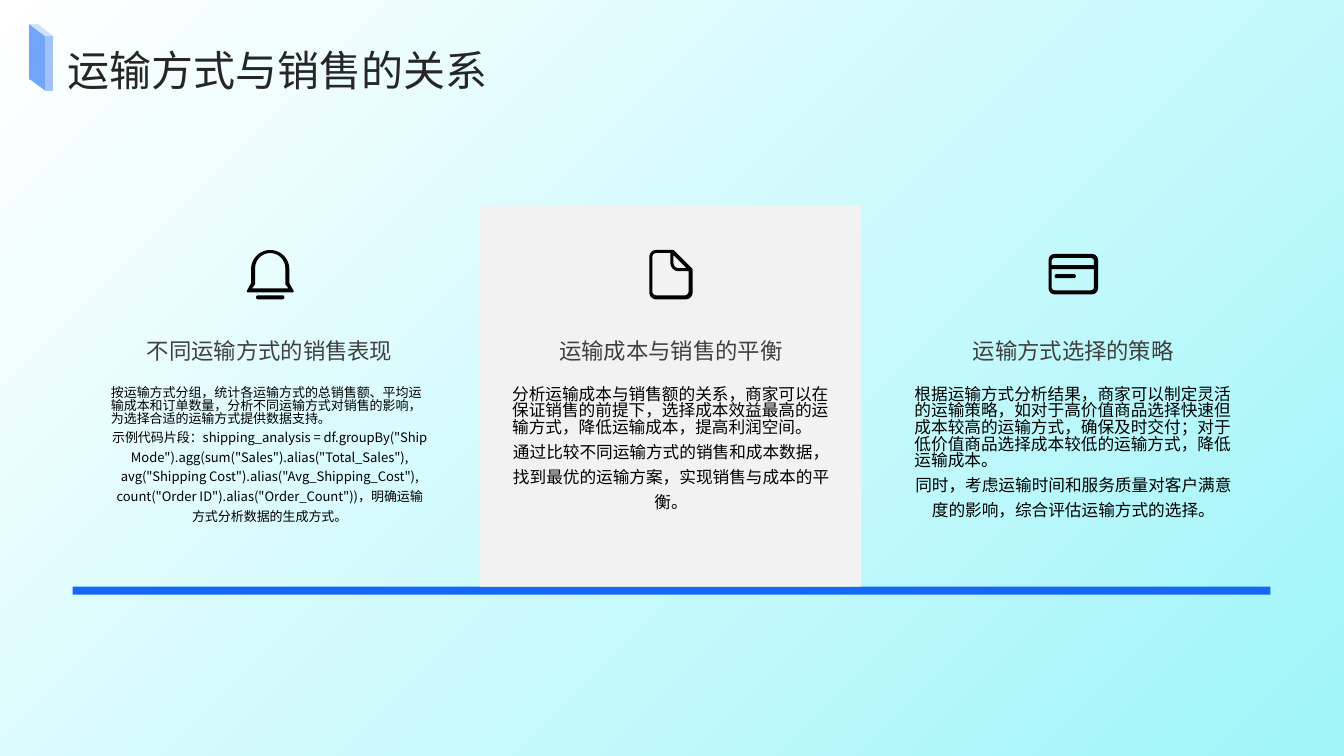
from math import hypot

from pptx import Presentation
from pptx.dml.color import RGBColor
from pptx.enum import shapes, text
from pptx.oxml.ns import qn
from pptx.util import Inches, Pt

FONT = "Noto Sans CJK SC"
TITLE = "运输方式与销售的关系"

# Heading, body size, body paragraphs, left edge
COLUMNS = [
    ("不同运输方式的销售表现", 9.3, [
        "按运输方式分组，统计各运输方式的总销售额、平均运输成本和订单数量，"
        "分析不同运输方式对销售的影响，为选择合适的运输方式提供数据支持。",
        '示例代码片段：shipping_analysis = df.groupBy("Ship Mode")'
        '.agg(sum("Sales").alias("Total_Sales"), '
        'avg("Shipping Cost").alias("Avg_Shipping_Cost"), '
        'count("Order ID").alias("Order_Count"))，明确运输方式分析数据的生成方式。',
    ], 1.1),
    ("运输成本与销售的平衡", 11.9, [
        "分析运输成本与销售额的关系，商家可以在保证销售的前提下，"
        "选择成本效益最高的运输方式，降低运输成本，提高利润空间。",
        "通过比较不同运输方式的销售和成本数据，找到最优的运输方案，"
        "实现销售与成本的平衡。",
    ], 5.08),
    ("运输方式选择的策略", 11.9, [
        "根据运输方式分析结果，商家可以制定灵活的运输策略，"
        "如对于高价值商品选择快速但成本较高的运输方式，确保及时交付；"
        "对于低价值商品选择成本较低的运输方式，降低运输成本。",
        "同时，考虑运输时间和服务质量对客户满意度的影响，综合评估运输方式的选择。",
    ], 9.07),
]


def block(left, top, right, bottom, upper=0, lower=0):
    """Contour of a rectangle with its upper and lower corner radii."""
    return [(left, top, upper), (right, top, upper),
            (right, bottom, lower), (left, bottom, lower)]


# Contours are lists of corners: x, y, corner radius
BELL = [
    [(2.49, 2.48, 0.19), (2.87, 2.48, 0.19), (2.87, 2.81, 0),
     (2.92, 2.9, 0.02), (2.44, 2.9, 0.02), (2.49, 2.81, 0)],
    [(2.53, 2.51, 0.15), (2.83, 2.51, 0.15), (2.83, 2.82, 0),
     (2.86, 2.86, 0), (2.5, 2.86, 0), (2.53, 2.82, 0)],
    block(2.54, 2.93, 2.82, 2.97, 0.02, 0.02),
]
DOCUMENT = [
    [(6.44, 2.48, 0.07), (6.68, 2.48, 0.01), (6.87, 2.67, 0.01),
     (6.87, 2.97, 0.07), (6.44, 2.97, 0.07)],
    [(6.47, 2.51, 0.04), (6.65, 2.51, 0), (6.65, 2.69, 0.08),
     (6.83, 2.69, 0), (6.83, 2.93, 0.04), (6.47, 2.93, 0.04)],
    [(6.68, 2.53, 0), (6.81, 2.66, 0), (6.68, 2.66, 0.05)],
]
CARD = [
    block(10.4, 2.52, 10.89, 2.92, 0.06, 0.06),
    block(10.43, 2.56, 10.85, 2.63, upper=0.03),
    block(10.43, 2.67, 10.85, 2.88, lower=0.03),
    block(10.46, 2.72, 10.67, 2.76, 0.02, 0.02),
]


def slant(top):
    """Contour of a horizontal face of the title marker."""
    return [(0.29, top, 0), (0.38, top, 0),
            (0.53, top + 0.12, 0), (0.45, top + 0.12, 0)]


FRONT = [(0.29, 0.24, 0), (0.3, 0.24, 0), (0.45, 0.36, 0),
         (0.45, 0.9, 0), (0.3, 0.79, 0), (0.29, 0.79, 0)]
OUTLINES = [
    (BELL, "000000"), (DOCUMENT, "000000"), (CARD, "000000"),
    ([slant(0.46)], "1467F7"), ([FRONT], "72A4FA"), ([slant(0.24)], "D0E1FD"),
    ([block(0.45, 0.36, 0.53, 0.9)], "A1C2FC"),
]


def color(code):
    return RGBColor.from_string(code)


def finish(shape, code):
    shape.shadow.inherit = False
    shape.line.fill.background()
    shape.fill.solid()
    shape.fill.fore_color.rgb = color(code)


def add_rect(page, left, top, width, height, code):
    rect = page.shapes.add_shape(
        shapes.MSO_SHAPE.RECTANGLE, *map(Inches, (left, top, width, height)))
    finish(rect, code)
    return rect


def toward(corner, other, distance):
    (x, y), (dx, dy) = corner[:2], (other[0] - corner[0], other[1] - corner[1])
    share = distance / hypot(dx, dy)
    return x + dx * share, y + dy * share


def rounded(contour, steps=8):
    """Points along a contour, with each corner replaced by a cubic arc."""
    points = []
    for i, corner in enumerate(contour):
        before, after = contour[i - 1], contour[(i + 1) % len(contour)]
        radius = corner[2]
        if not radius:
            points.append(corner[:2])
            continue
        arc = [toward(corner, before, radius), toward(corner, before, radius * 0.45),
               toward(corner, after, radius * 0.45), toward(corner, after, radius)]
        for step in range(steps + 1):
            t = step / steps
            weights = ((1 - t) ** 3, 3 * t * (1 - t) ** 2, 3 * t * t * (1 - t), t ** 3)
            points.append(tuple(
                sum(w * point[axis] for w, point in zip(weights, arc))
                for axis in (0, 1)))
    return [(Inches(x), Inches(y)) for x, y in points]


def add_outline(page, contours, code):
    paths = [rounded(contour) for contour in contours]
    builder = page.shapes.build_freeform(*paths[0][0])
    for i, points in enumerate(paths):
        if i:
            builder.move_to(*points[0])
        builder.add_line_segments(points[1:], close=True)
    finish(builder.convert_to_shape(), code)


def add_text(page, place, paragraphs, size, code, anchor=text.MSO_ANCHOR.TOP):
    """Text box from (wording, alignment, line spacing) paragraphs."""
    frame = page.shapes.add_textbox(*map(Inches, place)).text_frame
    frame.word_wrap = True
    frame.vertical_anchor = anchor
    frame.margin_left = frame.margin_right = 0
    frame.margin_top = frame.margin_bottom = 0
    for i, (words, align, spacing) in enumerate(paragraphs):
        para = frame.add_paragraph() if i else frame.paragraphs[0]
        para.text = words
        para.alignment = align
        para.line_spacing = spacing
        font = para.font
        font.size = Pt(size)
        font.name = FONT
        font.color.rgb = color(code)
        defaults = para._p.pPr.find(qn("a:defRPr"))
        east_asian = defaults.makeelement(qn("a:ea"), {"typeface": FONT})
        defaults.append(east_asian)


def main():
    deck = Presentation()
    deck.slide_width, deck.slide_height = Inches(13.33), Inches(7.5)
    page = deck.slides.add_slide(deck.slide_layouts[6])
    left, center = text.PP_ALIGN.LEFT, text.PP_ALIGN.CENTER

    backdrop = add_rect(page, 0, 0, 13.33, 7.5, "FFFFFF")
    backdrop.fill.gradient()
    backdrop.fill.gradient_angle = 315
    for stop, code in zip(backdrop.fill.gradient_stops, ("FFFFFF", "9FF5F9")):
        stop.color.rgb = color(code)
    add_rect(page, 0.72, 5.82, 11.88, 0.08, "1467F7")
    add_rect(page, 4.76, 2.04, 3.78, 3.78, "F2F2F2")

    for heading, size, (summary, detail), x in COLUMNS:
        add_text(page, (x, 3.84, 3.15, 1.79),
                 [(summary, left, 0.83), (detail, center, 1.25)], size, "000000")
        add_text(page, (x, 3.06, 3.15, 0.79), [(heading, center, 1.2)],
                 16, "404040", text.MSO_ANCHOR.MIDDLE)
    for contours, code in OUTLINES:
        add_outline(page, contours, code)
    add_text(page, (0.67, 0.39, 11.82, 0.5), [(TITLE, left, 1.1)], 30, "262626")
    deck.save("out.pptx")


if __name__ == "__main__":
    main()
